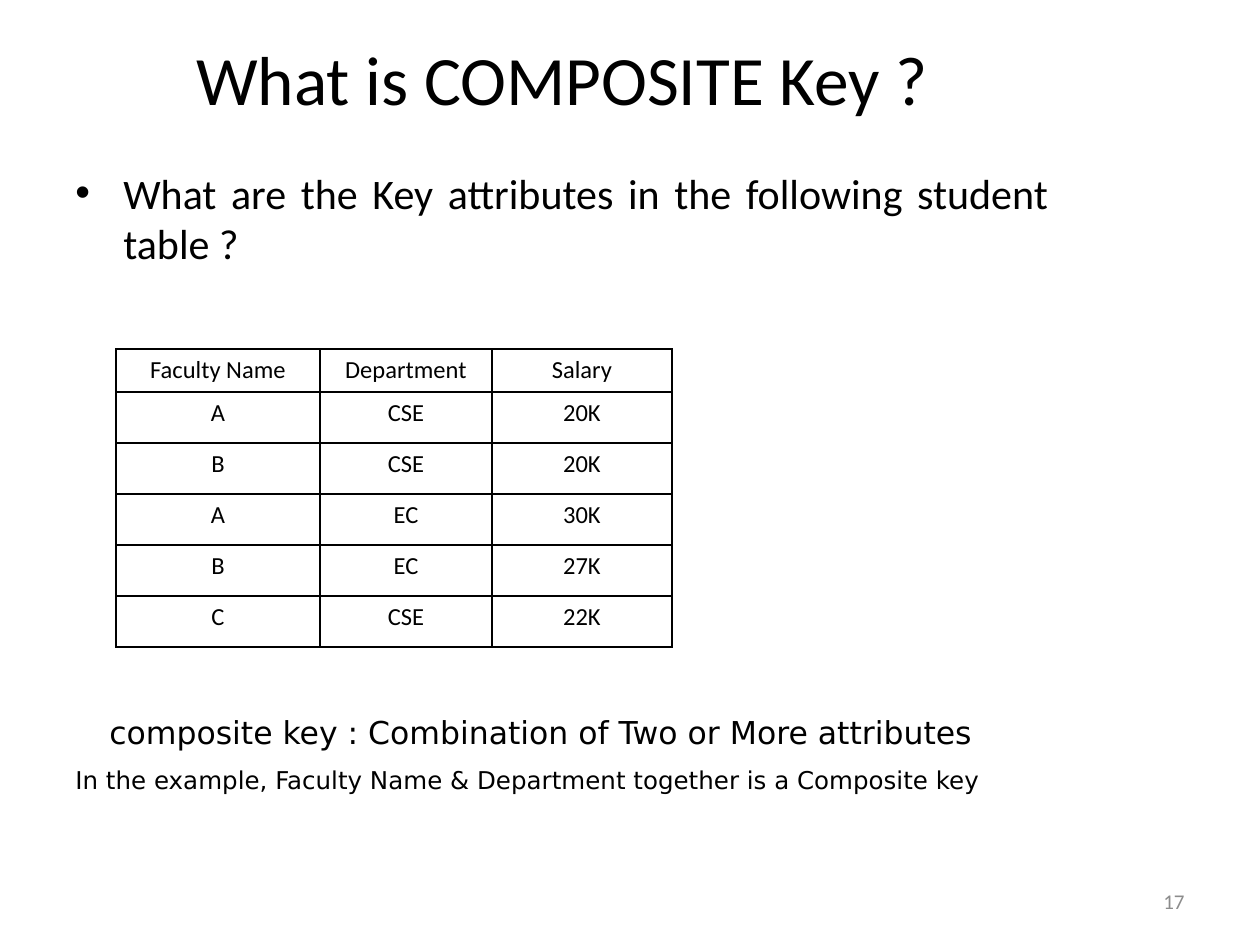
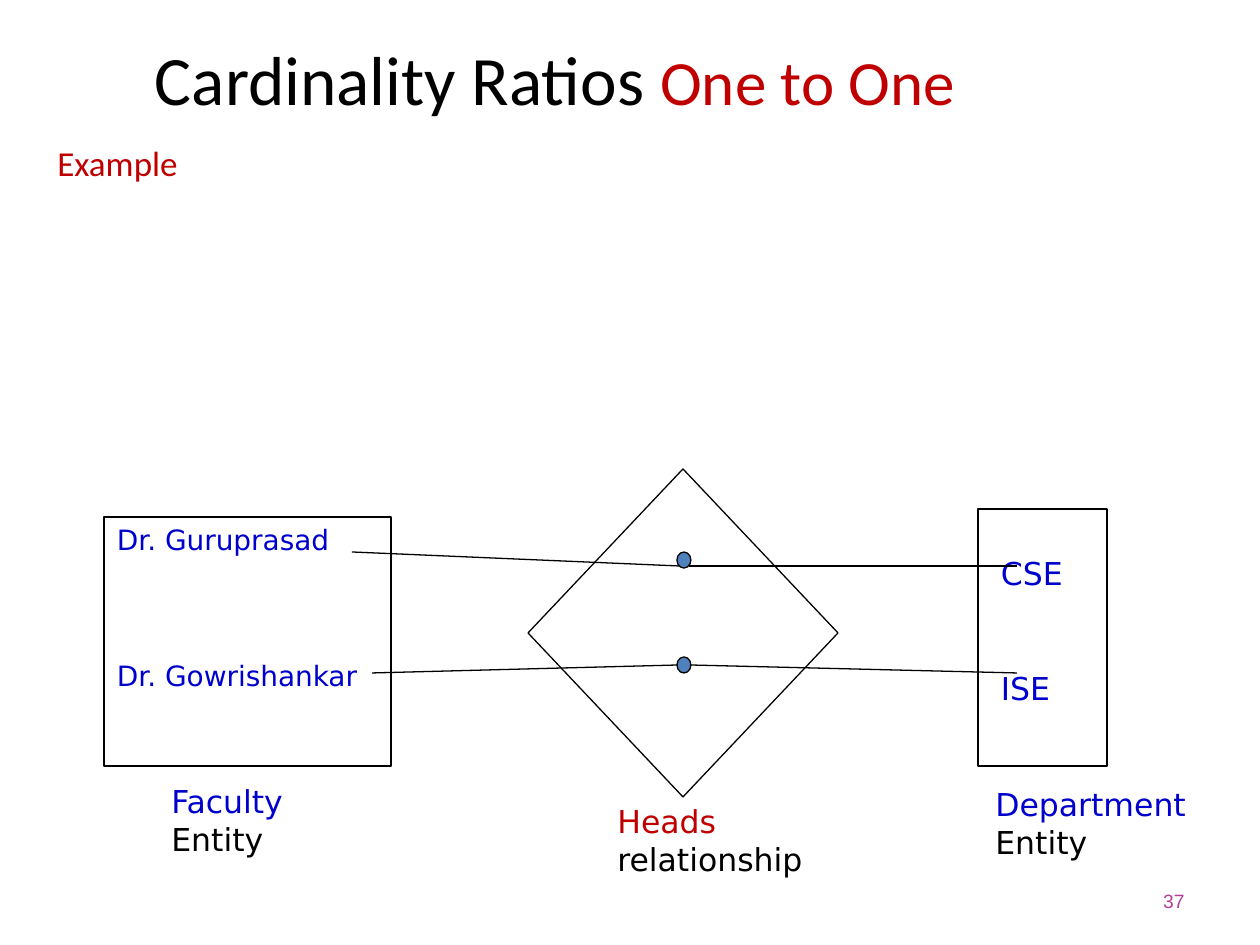
"""Build two database slides: a composite key table and a one-to-one relationship."""
from lxml.etree import SubElement
from pptx import Presentation
from pptx.dml.color import RGBColor
from pptx.enum.shapes import MSO_CONNECTOR, MSO_SHAPE
from pptx.enum.text import MSO_ANCHOR, PP_ALIGN
from pptx.oxml import parse_xml
from pptx.oxml.ns import nsdecls, qn
from pptx.util import Emu, Pt

COLORS = {
    "ink": "000000", "paper": "FFFFFF", "accent": "C00000", "entity": "0000CC",
    "dot": "4F81BD", "grey": "8C8C8C", "violet": "B13F9A",
}
HEAD_FONT, NOTE_FONT, NUMBER_FONT = "Calibri", "DejaVu Sans", "Arial"
PIXEL = 914400 / 126
PAGE_SIZE = (1260, 945)
TITLE_AREA = (63, 44, 998, 68)
NUMBER_AREA = (903, 876, 294, 50)

QUESTION = "What are the Key attributes in the following student table ?"
FACULTY_ROWS = [
    ("Faculty Name", "Department", "Salary"),
    ("A", "CSE", "20K"),
    ("B", "CSE", "20K"),
    ("A", "EC", "30K"),
    ("B", "EC", "27K"),
    ("C", "CSE", "22K"),
]
TABLE_ORIGIN = (116, 349)
COLUMN_WIDTHS = (204, 172, 180)
HEADER_HEIGHT, ROW_HEIGHT = 43, 51
NOTES = [
    ("composite key : Combination of Two or More attributes", (97, 707, 917, 50), 18),
    ("In the example, Faculty Name & Department together is a Composite key",
     (63, 759, 951, 43), 14),
]

ENTITIES = [
    {"area": (104, 517, 287, 249), "members": ["Dr. Guruprasad", "Dr. Gowrishankar"],
     "size": 16, "gap": 58, "inset": (13, 6)},
    {"area": (978, 509, 129, 257), "members": ["CSE", "ISE"],
     "size": 18, "gap": 44, "inset": (23, 45)},
]
HEADS_AREA = (528, 469, 310, 328)
LABELS = [
    ("Heads", "relationship", "accent", (605, 796, 212, 89)),
    ("Faculty", "Entity", "entity", (159, 776, 139, 89)),
    ("Department", "Entity", "entity", (983, 779, 217, 89)),
]
DOTS = [(677, 552, 14, 16), (677, 657, 14, 16)]
LINKS = [
    ((352, 552), (679, 566)),
    ((689, 566), (1017, 566)),
    ((372, 673), (678, 665)),
    ((690, 665), (1017, 673)),
]


def px(value):
    return Emu(round(value * PIXEL))


def scaled(values):
    return [px(value) for value in values]


def color(name):
    return RGBColor.from_string(COLORS[name])


def write(frame, lines, size=18, font=HEAD_FONT, ink="ink", align=PP_ALIGN.LEFT,
          anchor=MSO_ANCHOR.TOP, wrap=True, gap=0, bullet=False):
    """Fill a frame; a line is a string or a list of (text, overrides) spans."""
    frame.word_wrap = wrap
    frame.vertical_anchor = anchor
    for index, line in enumerate(lines):
        para = frame.add_paragraph() if index else frame.paragraphs[0]
        para.alignment = align
        if index and gap:
            para.space_before = Pt(gap)
        if bullet:
            properties = para._p.get_or_add_pPr()
            properties.set("marL", str(px(48)))
            properties.set("indent", str(-px(48)))
            SubElement(properties, qn("a:buFont"), typeface="Arial")
            SubElement(properties, qn("a:buChar"), char="•")
        for text, own in [(line, {})] if isinstance(line, str) else line:
            span = para.add_run()
            span.text = text
            span.font.name = font
            span.font.size = Pt(own.get("size", size))
            span.font.color.rgb = color(own.get("ink", ink))


def add_text(page, area, lines, **style):
    box = page.shapes.add_textbox(*scaled(area))
    write(box.text_frame, lines, **style)


def add_page(deck, title, number, **number_style):
    page = deck.slides.add_slide(deck.slide_layouts[6])
    add_text(page, TITLE_AREA, [title], size=39.6, align=PP_ALIGN.CENTER,
             anchor=MSO_ANCHOR.MIDDLE)
    add_text(page, NUMBER_AREA, [number], align=PP_ALIGN.RIGHT,
             anchor=MSO_ANCHOR.MIDDLE, **number_style)
    return page


def add_outline(page, kind, area, fill=None):
    shape = page.shapes.add_shape(kind, *scaled(area))
    shape.shadow.inherit = False
    if fill:
        shape.fill.solid()
        shape.fill.fore_color.rgb = color(fill)
    else:
        shape.fill.background()
    shape.line.color.rgb = color("ink")
    shape.line.width = Pt(0.75)
    return shape


def add_link(page, start, end):
    link = page.shapes.add_connector(MSO_CONNECTOR.STRAIGHT, *scaled(start + end))
    link.line.color.rgb = color("ink")
    link.line.width = Pt(0.75)
    SubElement(link._element.spPr, qn("a:effectLst"))


def add_borders(cell):
    properties = cell._tc.get_or_add_tcPr()
    for index, side in enumerate(("lnL", "lnR", "lnT", "lnB")):
        properties.insert(index, parse_xml(
            f'<a:{side} {nsdecls("a")} w="{Pt(1)}"><a:solidFill>'
            f'<a:srgbClr val="{COLORS["ink"]}"/></a:solidFill></a:{side}>'))


def add_faculty_table(page):
    heights = [HEADER_HEIGHT] + [ROW_HEIGHT] * (len(FACULTY_ROWS) - 1)
    area = (*TABLE_ORIGIN, sum(COLUMN_WIDTHS), sum(heights))
    table = page.shapes.add_table(len(heights), len(COLUMN_WIDTHS), *scaled(area)).table
    table.first_row = table.horz_banding = False
    for column, width in zip(table.columns, COLUMN_WIDTHS):
        column.width = px(width)
    for row, height, values in zip(table.rows, heights, FACULTY_ROWS):
        row.height = px(height)
        for cell, value in zip(row.cells, values):
            cell.fill.solid()
            cell.fill.fore_color.rgb = color("paper")
            add_borders(cell)
            write(cell.text_frame, [value], size=14, align=PP_ALIGN.CENTER)


def build_composite_key(deck):
    page = add_page(deck, "What is COMPOSITE Key ?", "17", size=12, ink="grey")
    add_text(page, (63, 161, 998, 485), [QUESTION], size=24,
             align=PP_ALIGN.JUSTIFY, bullet=True)
    add_faculty_table(page)
    for text, area, size in NOTES:
        add_text(page, area, [text], size=size, font=NOTE_FONT)


def build_one_to_one(deck):
    title = [("Cardinality Ratios ", {}), ("One to One ", {"size": 36, "ink": "accent"})]
    page = add_page(deck, title, "37", size=11, font=NUMBER_FONT, ink="violet")
    add_text(page, (45, 135, 998, 668), ["Example"], size=20, ink="accent")
    for entity in ENTITIES:
        frame = add_outline(page, MSO_SHAPE.RECTANGLE, entity["area"]).text_frame
        frame.margin_left, frame.margin_top = scaled(entity["inset"])
        write(frame, entity["members"], size=entity["size"], gap=entity["gap"],
              font=NOTE_FONT, ink="entity")
    add_outline(page, MSO_SHAPE.DIAMOND, HEADS_AREA)
    for name, role, ink, area in LABELS:
        add_text(page, area, [[(name, {"ink": ink})], role], font=NOTE_FONT, wrap=False)
    for area in DOTS:
        add_outline(page, MSO_SHAPE.OVAL, area, fill="dot")
    for start, end in LINKS:
        add_link(page, start, end)


def main():
    deck = Presentation()
    deck.slide_width, deck.slide_height = scaled(PAGE_SIZE)
    build_composite_key(deck)
    build_one_to_one(deck)
    deck.save("out.pptx")


if __name__ == "__main__":
    main()
